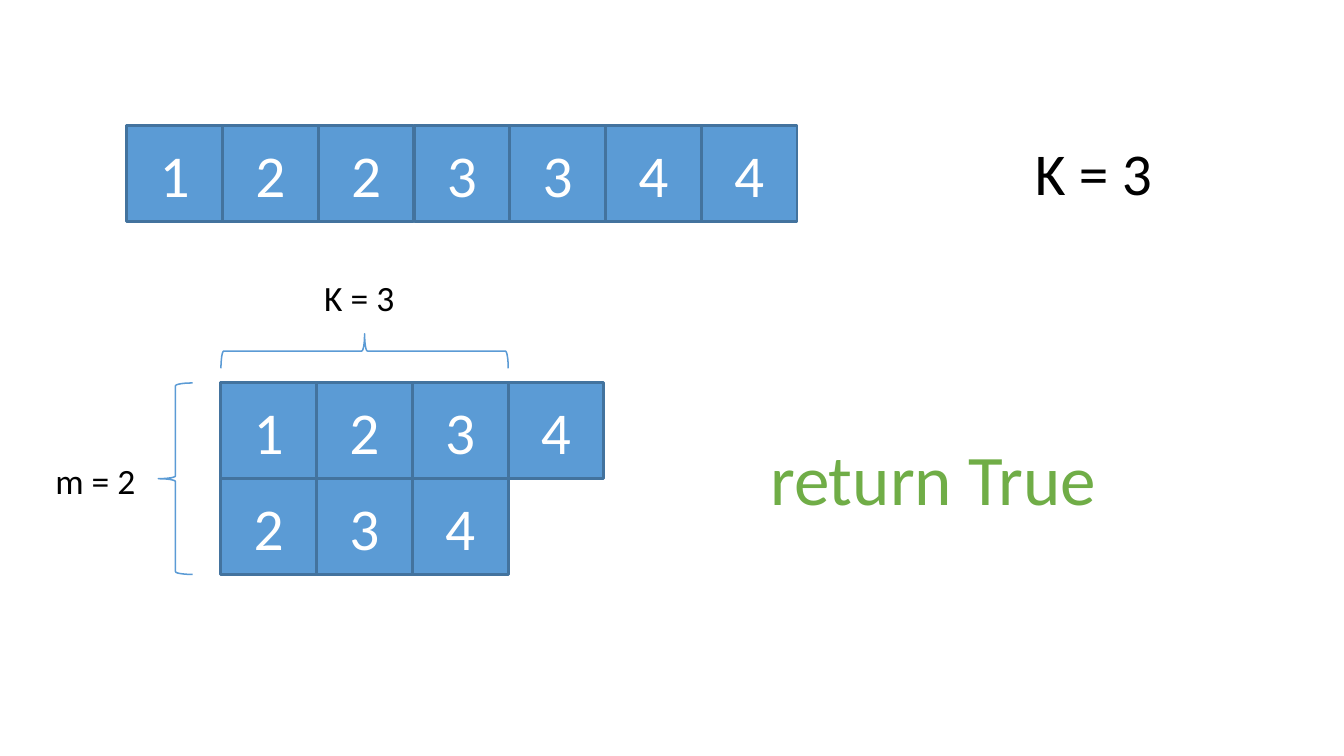
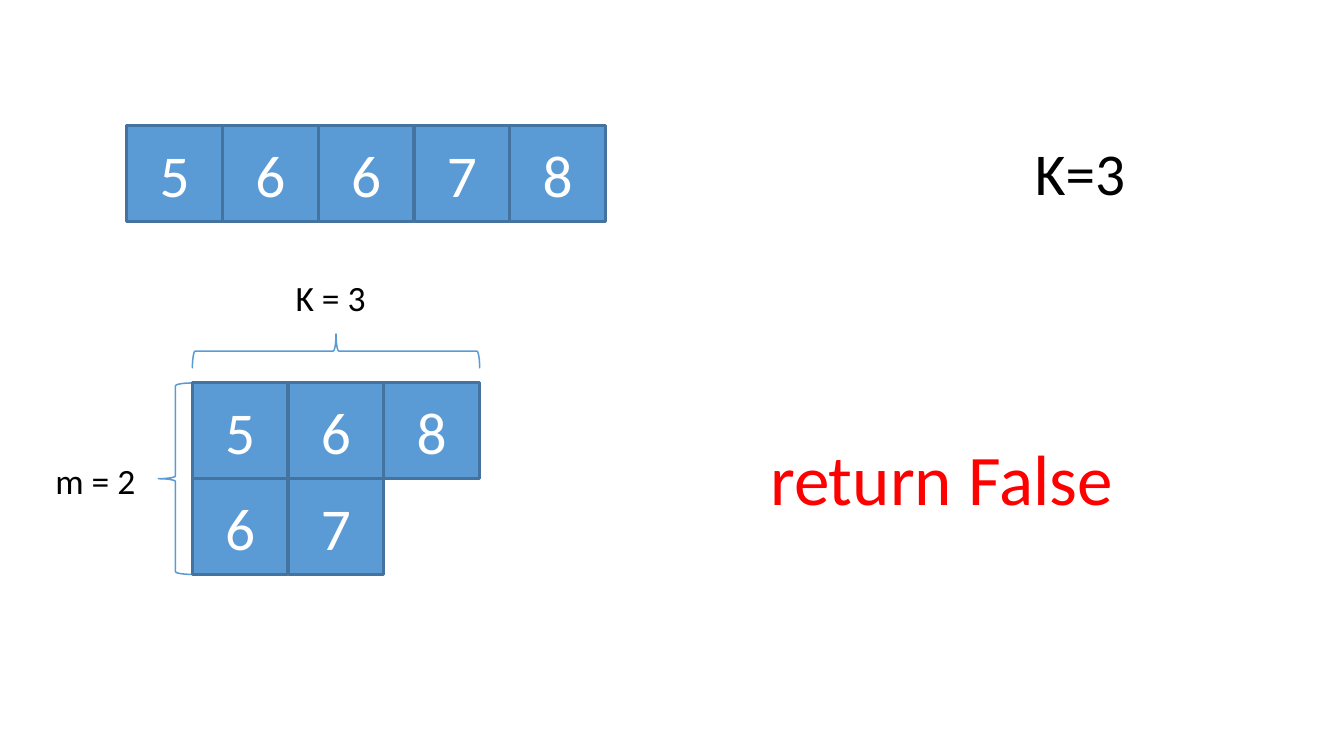
from dataclasses import dataclass

from pptx import Presentation
from pptx.dml.color import RGBColor
from pptx.enum.shapes import MSO_SHAPE
from pptx.enum.text import MSO_ANCHOR, MSO_AUTO_SIZE, PP_ALIGN
from pptx.util import Cm, Pt


@dataclass(frozen=True)
class Theme:
    """Colours, type sizes and measures shared by the slides."""

    font: str = "Calibri"
    cell_fill: RGBColor = RGBColor(0x5B, 0x9B, 0xD5)
    cell_line: RGBColor = RGBColor(0x43, 0x73, 0x9E)
    cell_text: RGBColor = RGBColor(0xFF, 0xFF, 0xFF)
    text: RGBColor = RGBColor(0x00, 0x00, 0x00)
    success: RGBColor = RGBColor(0x70, 0xAD, 0x47)
    failure: RGBColor = RGBColor(0xFF, 0x00, 0x00)
    label_size: int = Pt(12)
    number_size: int = Pt(20)
    result_size: int = Pt(24)
    cell_border: int = Pt(1)
    brace_border: int = Pt(0.5)
    cell: int = Cm(1.14)
    brace: int = Cm(0.41)


THEME = Theme()


@dataclass(frozen=True)
class Example:
    """One array, its split into subsequences and the answer."""

    numbers: list
    columns: list
    grid_left: int
    size_text: str
    result: str
    result_color: RGBColor


EXAMPLES = [
    Example([1, 2, 2, 3, 3, 4, 4], [(1, 2), (2, 3), (3, 4), (4,)],
            Cm(2.63), "K = 3", "return True", THEME.success),
    Example([5, 6, 6, 7, 8], [(5, 6), (6, 7), (8,)],
            Cm(2.29), "K=3", "return False", THEME.failure),
]


def write(shape, text, size, color):
    """Set the text of a shape and format its run."""
    para = shape.text_frame.paragraphs[0]
    para.text = text
    font = para.runs[0].font
    font.name, font.size, font.color.rgb = THEME.font, size, color


def add_label(page, left, top, width, height, text, size, color=THEME.text):
    """Add a wrapped text box."""
    box = page.shapes.add_textbox(left, top, width, height)
    box.text_frame.word_wrap = True
    box.text_frame.auto_size = MSO_AUTO_SIZE.SHAPE_TO_FIT_TEXT
    write(box, text, size, color)


def add_cells(page, left, top, columns):
    """Add number cells column by column from the top left corner."""
    for column, numbers in enumerate(columns):
        for row, number in enumerate(numbers):
            cell = page.shapes.add_shape(
                MSO_SHAPE.RECTANGLE, left + column * THEME.cell,
                top + row * THEME.cell, THEME.cell, THEME.cell)
            cell.shadow.inherit = False
            cell.fill.solid()
            cell.fill.fore_color.rgb = THEME.cell_fill
            cell.line.color.rgb = THEME.cell_line
            cell.line.width = THEME.cell_border
            cell.text_frame.vertical_anchor = MSO_ANCHOR.MIDDLE
            write(cell, str(number), THEME.number_size, THEME.cell_text)
            cell.text_frame.paragraphs[0].alignment = PP_ALIGN.CENTER


def add_brace(page, center_x, center_y, span, rotation=0):
    """Add a brace of the given span around a centre point."""
    brace = page.shapes.add_shape(
        MSO_SHAPE.LEFT_BRACE, center_x - THEME.brace // 2,
        center_y - span // 2, THEME.brace, span)
    brace.rotation = rotation
    brace.shadow.inherit = False
    brace.fill.background()
    brace.line.color.rgb = THEME.cell_fill
    brace.line.width = THEME.brace_border


def add_split(page, left, top, columns, group_size=3):
    """Add the subsequence grid with its braces and their labels."""
    row_count = max(len(numbers) for numbers in columns)
    height = row_count * THEME.cell
    width = group_size * THEME.cell
    middle_x, middle_y = left + width // 2, top + height // 2
    label_width, label_height = Cm(1.52), Cm(0.76)
    add_brace(page, Cm(2.09), middle_y, height)
    add_label(page, Cm(0.41), middle_y - Cm(0.36), label_width, label_height,
              f"m = {row_count}", THEME.label_size)
    add_cells(page, left, top, columns)
    add_brace(page, middle_x, top - Cm(0.38), width, rotation=90)
    add_label(page, middle_x - Cm(0.73), top - Cm(1.4), label_width,
              label_height, f"K = {group_size}", THEME.label_size)


def add_example(deck, example):
    """Add the slide for one example."""
    page = deck.slides.add_slide(deck.slide_layouts[6])
    add_cells(page, Cm(1.51), Cm(1.5), [(number,) for number in example.numbers])
    add_label(page, Cm(12.07), Cm(1.5), Cm(2.95), Cm(1.11),
              example.size_text, THEME.number_size)
    add_split(page, example.grid_left, Cm(4.56), example.columns)
    add_label(page, Cm(8.92), Cm(5.05), Cm(4.88), Cm(1.27),
              example.result, THEME.result_size, example.result_color)


def main():
    """Build and save the deck."""
    deck = Presentation()
    deck.slide_width, deck.slide_height = Cm(16), Cm(9)
    for example in EXAMPLES:
        add_example(deck, example)
    deck.save("out.pptx")


if __name__ == "__main__":
    main()
